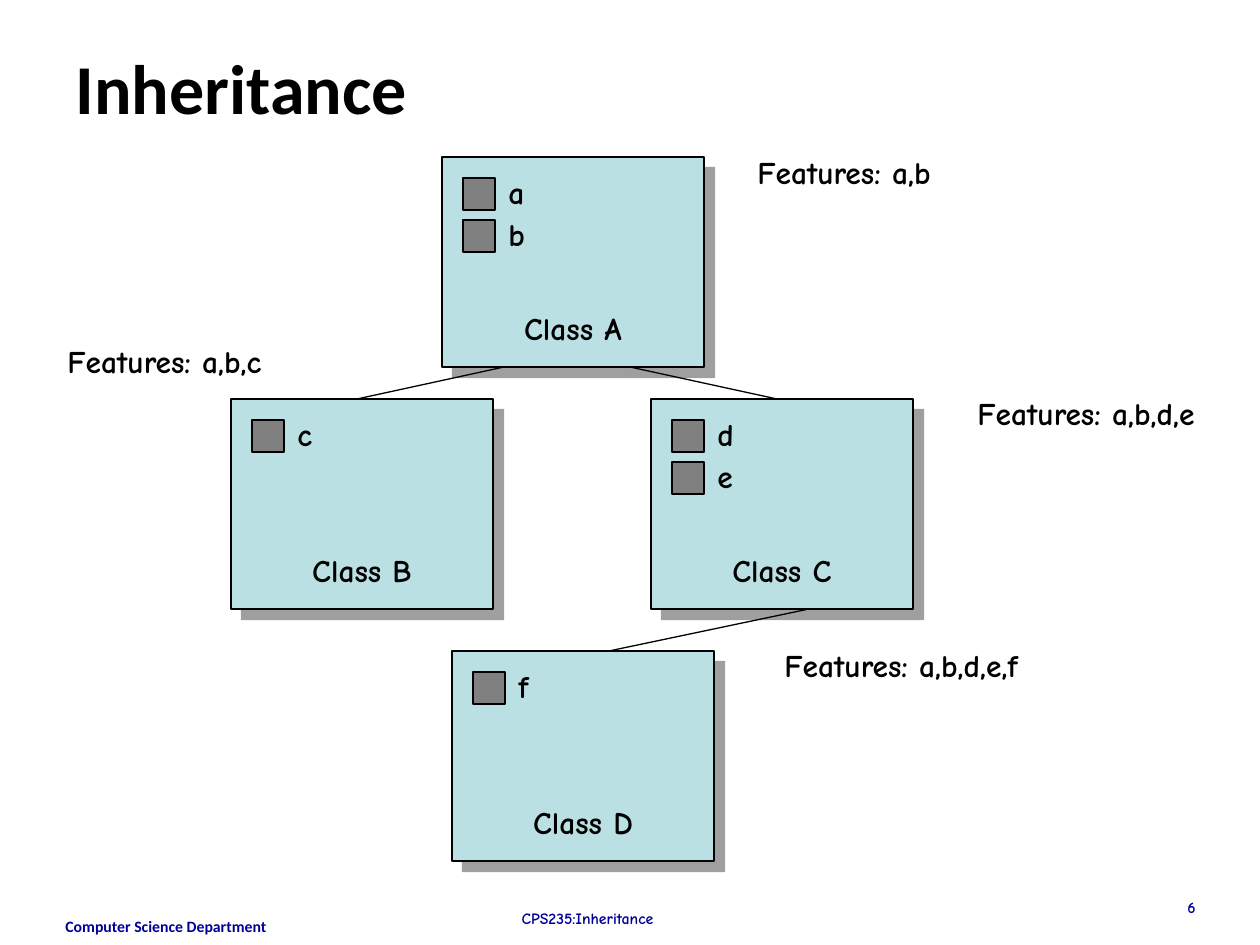
"""Build a slide showing how classes inherit features."""
from dataclasses import dataclass

from lxml import etree
from pptx import Presentation
from pptx.dml.color import RGBColor
from pptx.enum import shapes, text
from pptx.oxml.ns import qn
from pptx.util import Emu, Pt

PX = 914400 / 126
BLACK = RGBColor(0x00, 0x00, 0x00)
NAVY = RGBColor(0x00, 0x00, 0x99)
GREY = RGBColor(0x80, 0x80, 0x80)
PALE_BLUE = RGBColor(0xBB, 0xE0, 0xE3)
SANS, COMIC = "Calibri", "Comic Neue"
LEFT, CENTER, RIGHT = text.PP_ALIGN.LEFT, text.PP_ALIGN.CENTER, text.PP_ALIGN.RIGHT
BOX_W, BOX_H = 262, 210
INSET, SQUARE, STEP = 21, 32, 42
LABEL_H = 50


@dataclass
class ClassBox:
    name: str
    x: int
    y: int
    members: str
    features: str
    features_x: int
    features_y: int
    features_w: int


@dataclass
class Link:
    x1: int
    y1: int
    x2: int
    y2: int


@dataclass
class Footer:
    words: str
    x: int
    y: int
    w: int
    h: int
    font: str
    align: text.PP_ALIGN


CLASSES = [
    ClassBox("Class A", 442, 157, "ab", "Features: a,b", 745, 147, 199),
    ClassBox("Class B", 231, 399, "c", "Features: a,b,c", 55, 336, 220),
    ClassBox("Class C", 651, 399, "de", "Features: a,b,d,e", 965, 388, 243),
    ClassBox("Class D", 452, 651, "f", "Features: a,b,d,e,f", 772, 640, 260),
]
LINKS = [
    Link(504, 367, 357, 399),
    Link(630, 367, 777, 399),
    Link(809, 609, 609, 651),
]
FOOTERS = [
    Footer("Computer Science Department", 53, 911, 294, 34, SANS, LEFT),
    Footer("CPS235:Inheritance", 388, 903, 399, 13, COMIC, CENTER),
    Footer("6", 914, 892, 294, 13, COMIC, RIGHT),
]


def px(n: int) -> Emu:
    """Turn pixels into EMU."""
    return Emu(round(n * PX))


def fill_text(sp, words: str, size: int, font: str, color: RGBColor, align=LEFT) -> None:
    """Write one bold line at the top of a shape."""
    tf = sp.text_frame
    tf.word_wrap = True
    tf.auto_size = text.MSO_AUTO_SIZE.NONE
    tf.vertical_anchor = text.MSO_ANCHOR.TOP
    tf.text = words
    p = tf.paragraphs[0]
    p.alignment = align
    f = p.runs[0].font
    f.name, f.size, f.bold = font, Pt(size), True
    f.color.rgb = color


def add_label(s, words: str, x: int, y: int, w: int, align=LEFT) -> None:
    """Add a diagram label."""
    sp = s.shapes.add_textbox(px(x), px(y), px(w), px(LABEL_H))
    fill_text(sp, words, 18, COMIC, BLACK, align)


def add_rect(s, x: int, y: int, w: int, h: int, color: RGBColor):
    """Add an outlined rectangle without a shadow."""
    sp = s.shapes.add_shape(shapes.MSO_SHAPE.RECTANGLE, px(x), px(y), px(w), px(h))
    sp.shadow.inherit = False
    sp.fill.solid()
    sp.fill.fore_color.rgb = color
    sp.line.color.rgb = BLACK
    sp.line.width = Pt(0.75)
    return sp


def add_shadow(sp) -> None:
    """Give a shape a hard grey shadow to the lower right."""
    effects = sp._element.spPr.find(qn("a:effectLst"))
    shadow = etree.SubElement(effects, qn("a:outerShdw"), blurRad="0",
                              dist=str(Pt(8.5)), dir="2700000", rotWithShape="0")
    color = etree.SubElement(shadow, qn("a:srgbClr"), val=str(GREY))
    etree.SubElement(color, qn("a:alpha"), val="75000")


def add_class(s, c: ClassBox) -> None:
    """Draw a class with its members, name and feature list."""
    add_shadow(add_rect(s, c.x, c.y, BOX_W, BOX_H, PALE_BLUE))
    for i, member in enumerate(c.members):
        x, y = c.x + INSET, c.y + INSET + i * STEP
        add_rect(s, x, y, SQUARE, SQUARE, GREY)
        add_label(s, member, x + 33, y - 11, 41)
    add_label(s, c.name, c.x, c.y + 146, BOX_W, CENTER)
    add_label(s, c.features, c.features_x, c.features_y, c.features_w)


def add_link(s, k: Link) -> None:
    """Draw a line between two classes."""
    line = s.shapes.add_connector(shapes.MSO_CONNECTOR.STRAIGHT,
                                  px(k.x1), px(k.y1), px(k.x2), px(k.y2))
    line.line.color.rgb = BLACK
    line.line.width = Pt(0.75)
    etree.SubElement(line._element.spPr, qn("a:effectLst"))


def add_footer(s, f: Footer) -> None:
    """Add a small footer text."""
    sp = s.shapes.add_textbox(px(f.x), px(f.y), px(f.w), px(f.h))
    fill_text(sp, f.words, 9, f.font, NAVY, f.align)


def main() -> None:
    """Build and save the slide."""
    prs = Presentation()
    prs.slide_width, prs.slide_height = px(1260), px(945)
    s = prs.slides.add_slide(prs.slide_layouts[5])
    title = s.shapes.title
    title.left, title.top, title.width, title.height = px(63), px(38), px(1134), px(157)
    fill_text(title, "Inheritance", 40, SANS, BLACK)
    for f in FOOTERS:
        add_footer(s, f)
    for c in CLASSES:
        add_class(s, c)
    for k in LINKS:
        add_link(s, k)
    prs.save("out.pptx")


if __name__ == "__main__":
    main()
